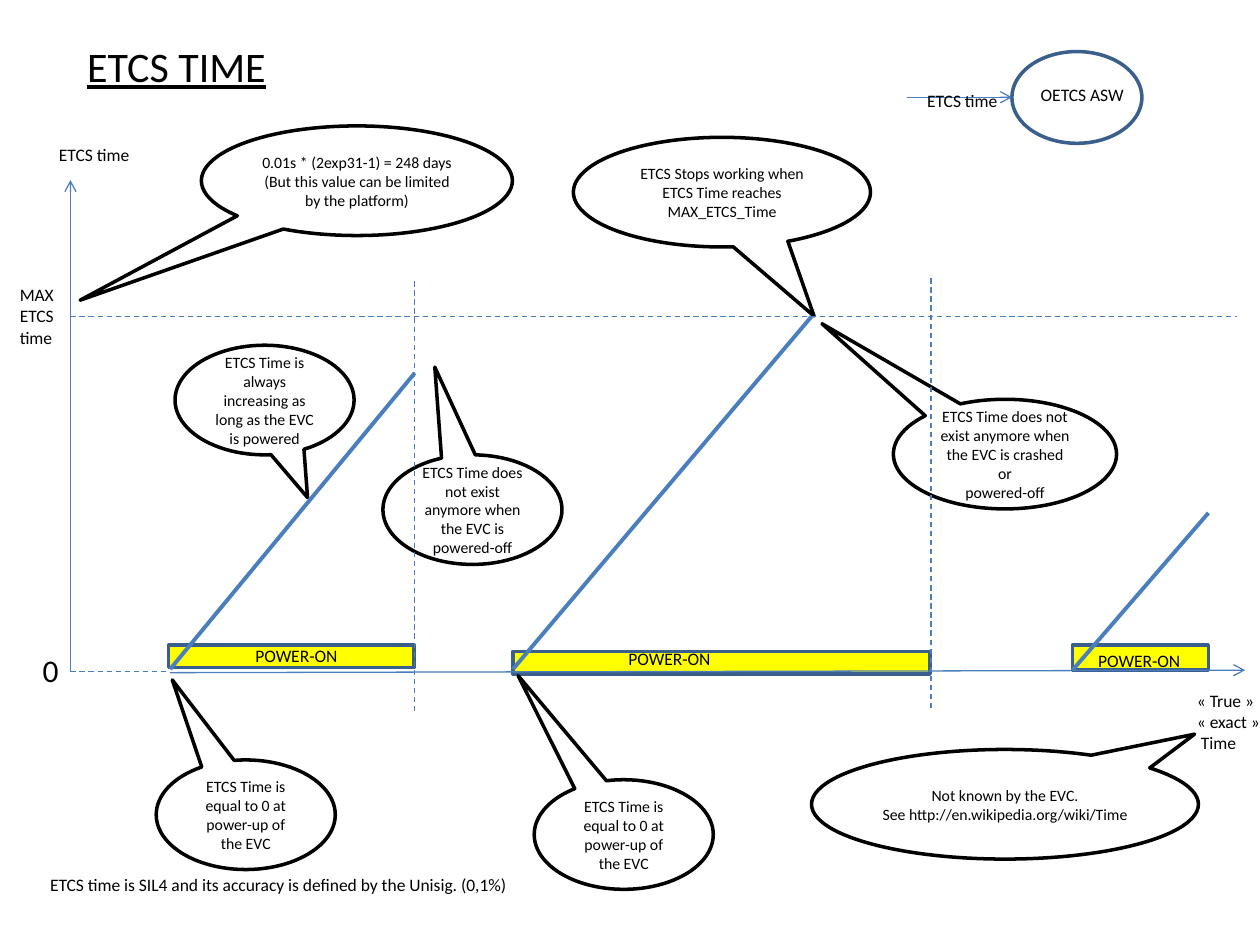
from lxml.etree import SubElement
from pptx import Presentation
from pptx.dml.color import RGBColor
from pptx.enum.dml import MSO_LINE as Dash
from pptx.enum.shapes import MSO_CONNECTOR as Link, MSO_SHAPE as Kind
from pptx.enum.text import MSO_ANCHOR as Anchor, MSO_AUTO_SIZE as Fit, PP_ALIGN as Align
from pptx.oxml.ns import qn
from pptx.util import Cm, Pt

BLACK = RGBColor(0x00, 0x00, 0x00)
WHITE = RGBColor(0xFF, 0xFF, 0xFF)
YELLOW = RGBColor(0xFF, 0xFF, 0x00)
BLUE = RGBColor(0x4B, 0x7E, 0xBC)
NAVY = RGBColor(0x3A, 0x5F, 0x8C)


def write(shape, text, size, align=Align.LEFT, **frame):
    """Fill a shape with black Calibri text, one paragraph per line."""
    box = shape.text_frame
    box.text = text
    for name, value in frame.items():
        setattr(box, name, value)
    font = {"name": "Calibri", "size": Pt(size)}
    for para in box.paragraphs:
        para.alignment = align
        for name, value in font.items():
            setattr(para.font, name, value)
        para.font.color.rgb = BLACK


def outline(kind, place, fill, edge):
    shape = slide.shapes.add_shape(kind, *map(Cm, place))
    shape.shadow.inherit = False
    if fill is None:
        shape.fill.background()
    else:
        shape.fill.solid()
        shape.fill.fore_color.rgb = fill
    shape.line.color.rgb = edge
    shape.line.width = Pt(2)
    return shape


deck = Presentation()
deck.slide_width, deck.slide_height = Cm(25.4), Cm(19.05)
slide = deck.slides.add_slide(deck.slide_layouts[5])

# Title
title = slide.shapes.title
spot = {"left": 1.5, "top": 0.69, "width": 4.14, "height": 1.27}
for name, value in spot.items():
    setattr(title, name, Cm(value))
write(title, "ETCS TIME", 24, word_wrap=False, auto_size=Fit.NONE,
      vertical_anchor=Anchor.TOP)
title.text_frame.paragraphs[0].font.underline = True

# Power-on periods and the software under study
bars = [(3.4, 13, 4.95, 0.46), (10.34, 13.13, 8.41, 0.46), (21.62, 13, 2.74, 0.51)]
for place in bars:
    outline(Kind.RECTANGLE, place, YELLOW, NAVY)
outline(Kind.OVAL, (20.4, 1.04, 2.62, 1.85), None, NAVY)

# Callouts: place, tip offset, text
notes = [
    ((3.15, 15.32, 3.61, 2.21), (-0.41, -1.23),
     "ETCS Time is equal to 0 at power-up of the EVC"),
    ((3.53, 6.96, 3.61, 2.21), (0.24, 0.89),
     "ETCS Time is always increasing as long as the EVC is powered"),
    ((7.72, 9.17, 3.61, 2.21), (-0.21, -1.3),
     "ETCS Time does not exist anymore when the EVC is powered-off"),
    ((10.77, 15.72, 3.61, 2.21), (-0.59, -1.45),
     "ETCS Time is equal to 0 at power-up of the EVC"),
    ((16.36, 15.11, 7.8, 2.21), (0.49, -0.64),
     "Not known by the EVC.\nSee http://en.wikipedia.org/wiki/Time"),
    ((11.56, 2.77, 5.99, 2.21), (0.31, 1.13),
     "ETCS Stops working when ETCS Time reaches MAX_ETCS_Time"),
    ((18.01, 8.05, 4.5, 2.21), (-0.82, -1.19),
     "ETCS Time does not exist anymore when the EVC is crashed or\npowered-off"),
    ((4.06, 2.54, 6.27, 2.21), (-0.89, 1.09),
     "0.01s * (2exp31-1) = 248 days\n(But this value can be limited by the platform)"),
]
for place, tip, text in notes:
    bubble = outline(Kind.OVAL_CALLOUT, place, WHITE, BLACK)
    bubble.adjustments[0], bubble.adjustments[1] = tip
    write(bubble, text, 9, Align.CENTER, word_wrap=True,
          vertical_anchor=Anchor.MIDDLE)

# Lines: style, then start and end points
styles = {"arrow": 0.75, "dash": 0.75, "ramp": 2.25}
lines = [
    ("arrow", 1.42, 13.54, 1.42, 3.63),
    ("arrow", 3.43, 13.56, 25.1, 13.51),
    ("arrow", 18.29, 1.96, 20.4, 1.96),
    ("ramp", 3.43, 13.49, 8.36, 7.52),
    ("ramp", 10.34, 13.49, 16.36, 6.38),
    ("ramp", 21.62, 13.51, 24.36, 10.34),
    ("dash", 1.42, 13.54, 3.4, 13.54),
    ("dash", 1.42, 6.38, 24.94, 6.38),
    ("dash", 8.36, 14.33, 8.36, 5.61),
    ("dash", 18.77, 14.27, 18.77, 5.56),
]
for style, *ends in lines:
    link = slide.shapes.add_connector(Link.STRAIGHT, *map(Cm, ends))
    link.line.color.rgb = BLUE
    link.line.width = Pt(styles[style])
    if style == "dash":
        link.line.dash_style = Dash.DASH
    if style == "arrow":
        SubElement(link.line._get_or_add_ln(), qn("a:tailEnd"), type="arrow")
    SubElement(link._element.spPr, qn("a:effectLst"))

# Labels: place, size, text
labels = [
    ((0.61, 13, 0.84, 1.02), 18, "0"),
    ((23.88, 13.79, 1.8, 1.55), 10, "«\u00a0True\u00a0»\n«\u00a0exact\u00a0»\n Time"),
    ((0.94, 2.77, 1.96, 0.69), 10, "ETCS time"),
    ((0.15, 5.61, 1.3, 1.55), 10, "MAX\nETCS\ntime"),
    ((4.9, 12.88, 2.18, 0.69), 10, "POWER-ON"),
    ((12.42, 12.93, 2.18, 0.69), 10, "POWER-ON"),
    ((21.89, 12.98, 2.18, 0.69), 10, "POWER-ON"),
    ((0.76, 17.5, 9.83, 0.69), 10,
     "ETCS time is SIL4 and its accuracy is defined by the Unisig. (0,1%)"),
    ((20.73, 1.57, 2.21, 0.69), 10, "OETCS ASW"),
    ((18.44, 1.7, 1.96, 0.69), 10, "ETCS time"),
]
for place, size, text in labels:
    label = slide.shapes.add_textbox(*map(Cm, place))
    write(label, text, size, word_wrap=False, auto_size=Fit.SHAPE_TO_FIT_TEXT)

deck.save("out.pptx")
